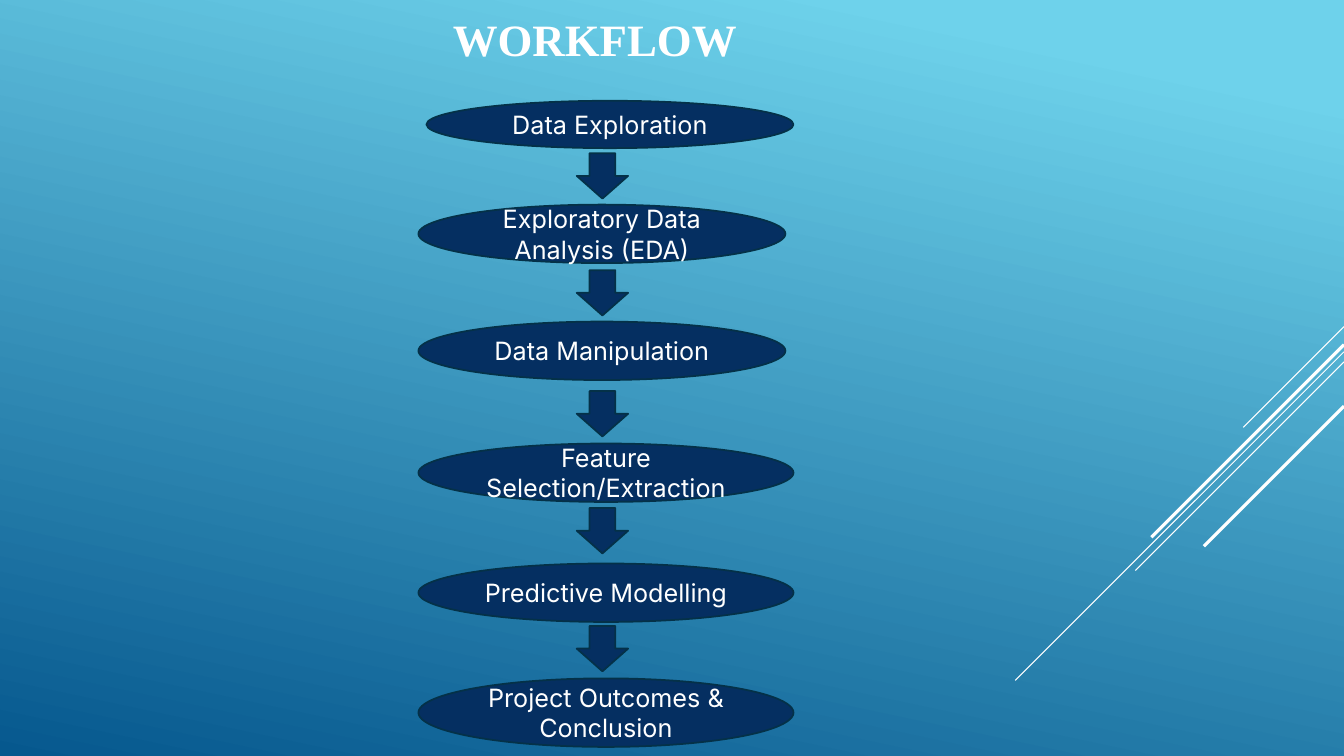
from lxml.etree import SubElement
from pptx import Presentation
from pptx.dml.color import RGBColor
from pptx.enum.shapes import MSO_CONNECTOR, MSO_SHAPE
from pptx.enum.text import MSO_ANCHOR, PP_ALIGN
from pptx.oxml.ns import qn
from pptx.util import Inches, Pt

COLORS = {
    "sky": "6ED2EB",
    "deep": "06588E",
    "navy": "052F61",
    "outline": "043148",
    "white": "FFFFFF",
}

# Text, then left, top, width and height of the ellipse
STEPS = [
    ("Data Exploration", 4.23, 1.0, 3.64, 0.47),
    ("Exploratory Data Analysis (EDA)", 4.15, 2.03, 3.64, 0.58),
    ("Data Manipulation", 4.15, 3.19, 3.64, 0.58),
    ("Feature Selection/Extraction", 4.15, 4.4, 3.72, 0.58),
    ("Predictive Modelling", 4.15, 5.59, 3.72, 0.58),
    ("Project Outcomes & Conclusion", 4.15, 6.73, 3.72, 0.68),
]
ARROW_TOPS = [1.52, 2.68, 3.88, 5.04, 6.21]
ARROW_LEFT, ARROW_WIDTH, ARROW_HEIGHT = 5.72, 0.51, 0.45

# Start height on the right edge, run to the lower left, line width
RAYS = [
    (3.24, 1.0, 0.75),
    (3.49, 3.26, 0.75),
    (3.59, 2.07, 0.75),
    (3.42, 1.91, 2.25),
    (4.03, 1.39, 2.25),
]


def rgb(name):
    return RGBColor.from_string(COLORS[name])


def write_text(shape, text, size=18, font="Inter", color="white", bold=False,
               anchor=MSO_ANCHOR.MIDDLE):
    frame = shape.text_frame
    frame.word_wrap = True
    frame.vertical_anchor = anchor
    paragraph = frame.paragraphs[0]
    paragraph.alignment = PP_ALIGN.CENTER
    run = paragraph.add_run()
    run.text = text
    run.font.size = Pt(size)
    run.font.name = font
    run.font.bold = bold
    run.font.color.rgb = rgb(color)


def add_navy_shape(slide, kind, *box):
    shape = slide.shapes.add_shape(kind, *map(Inches, box))
    shape.shadow.inherit = False
    shape.fill.solid()
    shape.fill.fore_color.rgb = rgb("navy")
    shape.line.color.rgb = rgb("outline")
    shape.line.width = Pt(1.25)
    return shape


def paint_background(slide):
    fill = slide.background.fill
    fill.gradient()
    fill.gradient_angle = 258
    stops = zip(fill.gradient_stops, ("sky", "deep"), (0.1, 1.0))
    for stop, color, position in stops:
        stop.color.rgb = rgb(color)
        stop.position = position


def add_rays(slide, right):
    """Draw the diagonal lines that run down from the right edge."""
    for top, run, width in RAYS:
        ends = map(Inches, (right, top, right - run, top + run))
        ray = slide.shapes.add_connector(MSO_CONNECTOR.STRAIGHT, *ends)
        ray.line.color.rgb = rgb("white")
        ray.line.width = Pt(width)
        SubElement(ray._element.spPr, qn("a:effectLst"))


def add_title(slide, *box):
    title = slide.shapes.add_textbox(*map(Inches, box))
    write_text(title, "WORKFLOW", size=32, font="Times New Roman", bold=True,
               anchor=MSO_ANCHOR.TOP)


def add_workflow(slide):
    for text, *box in STEPS:
        write_text(add_navy_shape(slide, MSO_SHAPE.OVAL, *box), text)
    for top in ARROW_TOPS:
        add_navy_shape(slide, MSO_SHAPE.DOWN_ARROW,
                       ARROW_LEFT, top, ARROW_WIDTH, ARROW_HEIGHT)


def main():
    presentation = Presentation()
    presentation.slide_width = Inches(13.33)
    presentation.slide_height = Inches(7.5)
    slide = presentation.slides.add_slide(presentation.slide_layouts[6])
    paint_background(slide)
    add_rays(slide, 13.33)
    add_workflow(slide)
    add_title(slide, 4.3, 0.07, 3.2, 0.64)
    presentation.save("out.pptx")


if __name__ == "__main__":
    main()
